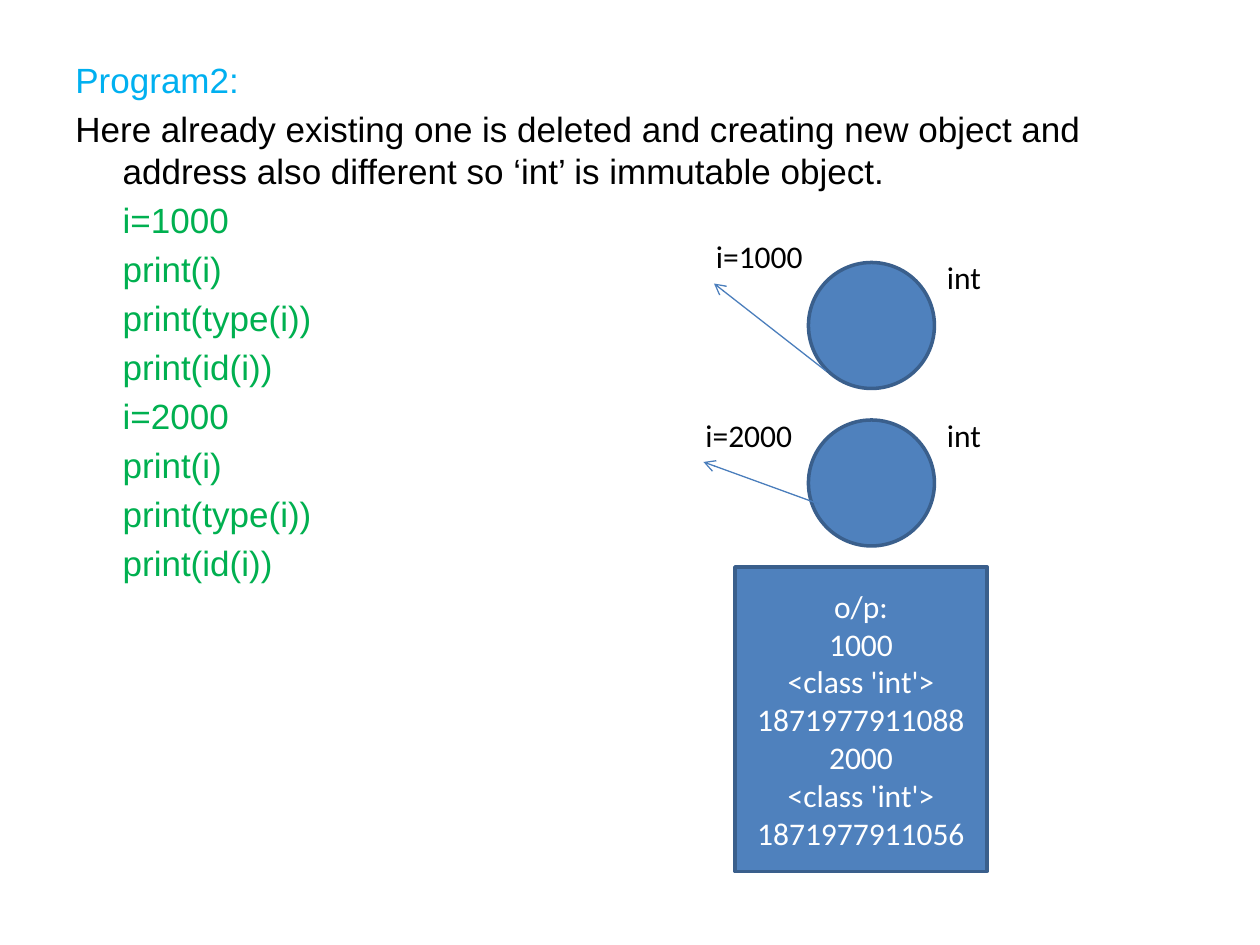
from pptx import Presentation
from pptx.dml.color import RGBColor
from pptx.enum.shapes import MSO_CONNECTOR, MSO_SHAPE
from pptx.enum.text import MSO_ANCHOR, PP_ALIGN
from pptx.oxml.ns import qn
from pptx.util import Pt
from lxml.etree import SubElement


def rgb(value):
    """Turn a hex string into a colour."""
    return RGBColor.from_string(value)


class Canvas:
    """Holds the style and the current slide."""

    FILL, EDGE, ARROW = "4F81BD", "3A5F8C", "4B7EBC"
    BLACK, WHITE, BLUE, GREEN = "000000", "FFFFFF", "00B0F0", "00B050"

    def __init__(self, slide):
        """Keep the slide to draw on."""
        self.shapes = slide.shapes

    def style(self, p, font, size, color):
        """Format every run of a paragraph."""
        for r in p.runs:
            r.font.name, r.font.size = font, Pt(size)
            r.font.color.rgb = rgb(color)

    def body(self, x, y, w, h, lines):
        """Add the main text from (text, colour, first-line indent) rows."""
        tf = self.shapes.add_textbox(Pt(x), Pt(y), Pt(w), Pt(h)).text_frame
        tf.word_wrap = True
        for i, (text, color, indent) in enumerate(lines):
            p = tf.add_paragraph() if i else tf.paragraphs[0]
            p.text = text
            p.line_spacing = Pt(24)
            p.space_before = Pt(4 if i else 0)
            pPr = p._p.get_or_add_pPr()
            pPr.set("marL", str(Pt(27)))
            pPr.set("indent", str(Pt(indent)))
            self.style(p, "Arial", 20, color)

    def label(self, x, y, w, text):
        """Add a one-line label."""
        tf = self.shapes.add_textbox(Pt(x), Pt(y), Pt(w), Pt(29)).text_frame
        tf.word_wrap = False
        tf.text = text
        self.style(tf.paragraphs[0], "Calibri", 18, self.BLACK)

    def shape(self, kind, x, y, w, h, text=""):
        """Add a filled, outlined shape with centred text."""
        sp = self.shapes.add_shape(kind, Pt(x), Pt(y), Pt(w), Pt(h))
        sp.shadow.inherit = False
        sp.fill.solid()
        sp.fill.fore_color.rgb = rgb(self.FILL)
        sp.line.color.rgb = rgb(self.EDGE)
        sp.line.width = Pt(2)
        tf = sp.text_frame
        tf.vertical_anchor = MSO_ANCHOR.MIDDLE
        tf.text = text
        for p in tf.paragraphs:
            p.alignment = PP_ALIGN.CENTER
            self.style(p, "Calibri", 18, self.WHITE)

    def arrow(self, x1, y1, x2, y2):
        """Add a thin line with an open arrowhead at its end."""
        line = self.shapes.add_connector(
            MSO_CONNECTOR.STRAIGHT, Pt(x1), Pt(y1), Pt(x2), Pt(y2))
        line.line.color.rgb = rgb(self.ARROW)
        line.line.width = Pt(0.75)
        SubElement(line.line._get_or_add_ln(), qn("a:tailEnd"), type="arrow")
        SubElement(line._element.spPr, qn("a:effectLst"))


prs = Presentation()
prs.slide_width, prs.slide_height = Pt(720), Pt(540)
canvas = Canvas(prs.slides.add_slide(prs.slide_layouts[6]))

lines = [
    ("Program2:", canvas.BLUE, -27),
    ("Here already existing one is deleted and creating new object and "
     "address also different so ‘int’ is immutable object.",
     canvas.BLACK, -27),
]
for value in (1000, 2000):
    for code in (f"i={value}", "print(i)", "print(type(i))", "print(id(i))"):
        lines.append((code, canvas.GREEN, 0))
canvas.body(36, 30, 648, 480, lines)

# Circle top, variable label, its position, type label top, arrow
objects = [
    (150, "i=1000", 402, 132, 144, (472, 212, 408, 162)),
    (240, "i=2000", 396, 234, 234, (468, 288, 402, 264)),
]
for top, name, name_x, name_y, type_y, arrow in objects:
    canvas.shape(MSO_SHAPE.OVAL, 462, top, 72, 72)
    canvas.label(name_x, name_y, 65, name)
    canvas.label(534, type_y, 34, "int")
    canvas.arrow(*arrow)

output = ["o/p:", "1000", "<class 'int'>", "1871977911088",
          "2000", "<class 'int'>", "1871977911056"]
canvas.shape(MSO_SHAPE.RECTANGLE, 420, 324, 144, 174, "\n".join(output))

prs.save("out.pptx")
